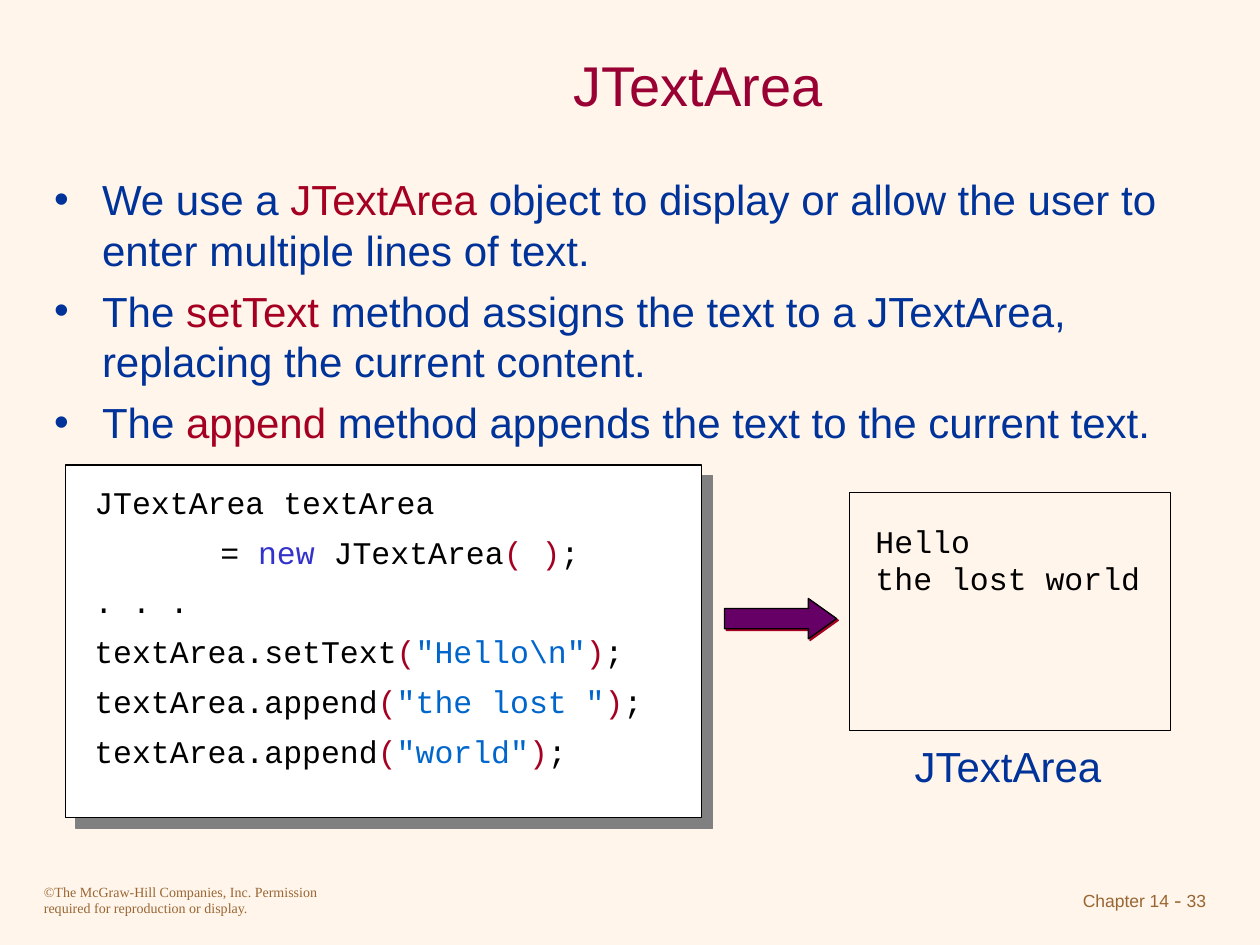
"""Build the JTextArea slide with its code sample and the resulting window."""
from dataclasses import dataclass, field

from lxml.etree import SubElement
from pptx import Presentation
from pptx.dml.color import RGBColor
from pptx.enum.shapes import MSO_SHAPE
from pptx.enum.text import MSO_ANCHOR, MSO_AUTO_SIZE, PP_ALIGN
from pptx.oxml.ns import qn
from pptx.util import Inches, Pt

COLORS = {
    "cream": "FFF5EB", "wine": "990033", "navy": "003399", "red": "A50021",
    "brown": "996633", "black": "000000", "white": "FFFFFF", "gray": "808080",
    "violet": "3333CC", "blue": "0066CC", "purple": "660066",
}
SANS, MONO, SERIF = "Arial", "Courier New", "Times New Roman"


@dataclass
class Span:
    text: str
    color: str
    size: float
    font: str


@dataclass
class Label:
    box: tuple[float, float, float, float]
    lines: list[list[Span]]
    frame: dict = field(default_factory=dict)
    para: dict = field(default_factory=dict)


@dataclass
class Block:
    kind: MSO_SHAPE
    box: tuple[float, float, float, float]
    fill: str = ""
    shade: str = ""
    depth: float = 0


def tint(name: str) -> RGBColor:
    """Return the named colour."""
    return RGBColor.from_string(COLORS[name])


def apply(target: object, values: dict) -> None:
    """Set each format value on the target."""
    for name, value in values.items():
        setattr(target, name, value)


def place(shape, box: tuple[float, float, float, float]) -> None:
    """Move and size a shape, in inches."""
    names = ("left", "top", "width", "height")
    apply(shape, dict(zip(names, map(Inches, box))))


def write(frame, label: Label) -> None:
    """Fill a text frame with the lines of a label."""
    apply(frame, {"word_wrap": True, "auto_size": MSO_AUTO_SIZE.NONE} | label.frame)
    for index, line in enumerate(label.lines):
        para = frame.paragraphs[0] if index == 0 else frame.add_paragraph()
        apply(para, label.para)
        if index == 0:
            para.space_before = Pt(0)
        for span in line:
            run = para.add_run()
            run.text = span.text
            apply(run.font, {"size": Pt(span.size), "name": span.font})
            run.font.color.rgb = tint(span.color)


def add_label(slide, label: Label):
    """Add a text box and return its frame."""
    shape = slide.shapes.add_textbox(0, 0, 0, 0)
    place(shape, label.box)
    write(shape.text_frame, label)
    return shape.text_frame


def fill_holder(shape, label: Label):
    """Place and fill a placeholder and return its frame."""
    place(shape, label.box)
    write(shape.text_frame, label)
    return shape.text_frame


def add_block(slide, block: Block):
    """Draw an outlined shape, with a hard shadow if it has a shade."""
    shape = slide.shapes.add_shape(block.kind, 0, 0, 0, 0)
    place(shape, block.box)
    shape.shadow.inherit = False
    if block.fill:
        shape.fill.solid()
        shape.fill.fore_color.rgb = tint(block.fill)
    else:
        shape.fill.background()
    shape.line.color.rgb = tint("black")
    shape.line.width = Pt(0.75)
    if block.shade:
        effects = shape._element.spPr.find(qn("a:effectLst"))
        shadow = SubElement(effects, qn("a:outerShdw"), blurRad="0", algn="ctr",
                            dist=str(Pt(block.depth)), dir="2700000", rotWithShape="0")
        SubElement(shadow, qn("a:srgbClr"), val=COLORS[block.shade])
    return shape


def add_bullets(frame) -> None:
    """Give each paragraph a hanging round bullet."""
    for para in frame.paragraphs:
        props = para._p.get_or_add_pPr()
        props.set("marL", str(Inches(0.38)))
        props.set("indent", str(Inches(-0.38)))
        color = SubElement(props, qn("a:buClr"))
        SubElement(color, qn("a:srgbClr"), val=COLORS["navy"])
        SubElement(props, qn("a:buFont"), typeface=SANS)
        SubElement(props, qn("a:buChar"), char="•")


def add_tabs(frame, stops: tuple[float, ...]) -> None:
    """Give each paragraph left tab stops, in inches."""
    for para in frame.paragraphs:
        tabs = SubElement(para._p.get_or_add_pPr(), qn("a:tabLst"))
        for stop in stops:
            SubElement(tabs, qn("a:tab"), pos=str(Inches(stop)), algn="l")


def point(start: str, term: str, rest: str) -> list[Span]:
    """Return a list item with its term in red."""
    parts = ((start, "navy"), (term, "red"), (rest, "navy"))
    return [Span(text, color, 24, SANS) for text, color in parts]


def code(*parts: tuple[str, str]) -> list[Span]:
    """Return a line of coloured code."""
    return [Span(text, color, 18, MONO) for text, color in parts]


def call(name: str, value: str) -> list[Span]:
    """Return a line that calls a method of textArea."""
    return code((f"textArea.{name}", "black"), ("(", "red"), (value, "blue"),
                (")", "red"), (";", "black"))


def main() -> None:
    """Build and save the slide."""
    deck = Presentation()
    deck.slide_width, deck.slide_height = Inches(10), Inches(7.5)
    slide = deck.slides.add_slide(deck.slide_layouts[1])
    slide.background.fill.solid()
    slide.background.fill.fore_color.rgb = tint("cream")

    fill_holder(slide.shapes.title, Label(
        (1.5, 0.25, 8.08, 0.83), [[Span("JTextArea", "wine", 32, SANS)]],
        {"vertical_anchor": MSO_ANCHOR.MIDDLE}, {"alignment": PP_ALIGN.CENTER}))
    add_bullets(fill_holder(slide.placeholders[1], Label((0.33, 1.33, 9.33, 2.42), [
        point("We use a ", "JTextArea",
              " object to display or allow the user to enter multiple lines of text."),
        point("The ", "setText",
              " method assigns the text to a JTextArea, replacing the current content."),
        point("The ", "append", " method appends the text to the current text."),
    ], para={"space_before": Pt(6)})))

    add_block(slide, Block(MSO_SHAPE.RECTANGLE, (0.52, 3.69, 5.05, 2.8), "white", "gray", 8.5))
    add_tabs(add_label(slide, Label((0.65, 3.84, 4.86, 2.33), [
        code(("JTextArea textArea", "black")),
        code(("\t\t= ", "black"), ("new", "violet"), (" JTextArea", "black"),
             ("( )", "red"), (";", "black")),
        code((". . .", "black")),
        call("setText", '"Hello\\n"'),
        call("append", '"the lost "'),
        call("append", '"world"'),
    ], para={"line_spacing": 0.8, "space_before": Pt(11.2)})), (0.5, 1))

    add_block(slide, Block(MSO_SHAPE.RECTANGLE, (6.74, 3.91, 2.55, 1.89)))
    loose = {"word_wrap": False, "auto_size": MSO_AUTO_SIZE.SHAPE_TO_FIT_TEXT}
    add_label(slide, Label((6.85, 4.09, 2.3, 0.7), [
        code(("Hello", "black")), code(("the lost world", "black"))], loose))
    add_label(slide, Label((7.16, 5.83, 1.72, 0.5),
                           [[Span("JTextArea", "navy", 24, SANS)]], loose))
    arrow = add_block(slide, Block(MSO_SHAPE.RIGHT_ARROW, (5.75, 4.75, 0.89, 0.32),
                                   "purple", "red", 1.4))
    arrow.adjustments[1] = 0.7

    notice = ("©The McGraw-Hill Companies, Inc. Permission required "
              "for reproduction or display.")
    add_label(slide, Label((0.25, 6.96, 2.5, 0.37), [[Span(notice, "brown", 8, SERIF)]]))
    add_label(slide, Label((7.5, 6.99, 2.17, 0.34), [[
        Span("Chapter 14", "brown", 10, SANS), Span(" - ", "brown", 12, SERIF),
        Span("33", "brown", 10, SANS)]], para={"alignment": PP_ALIGN.RIGHT}))
    deck.save("out.pptx")


if __name__ == "__main__":
    main()
